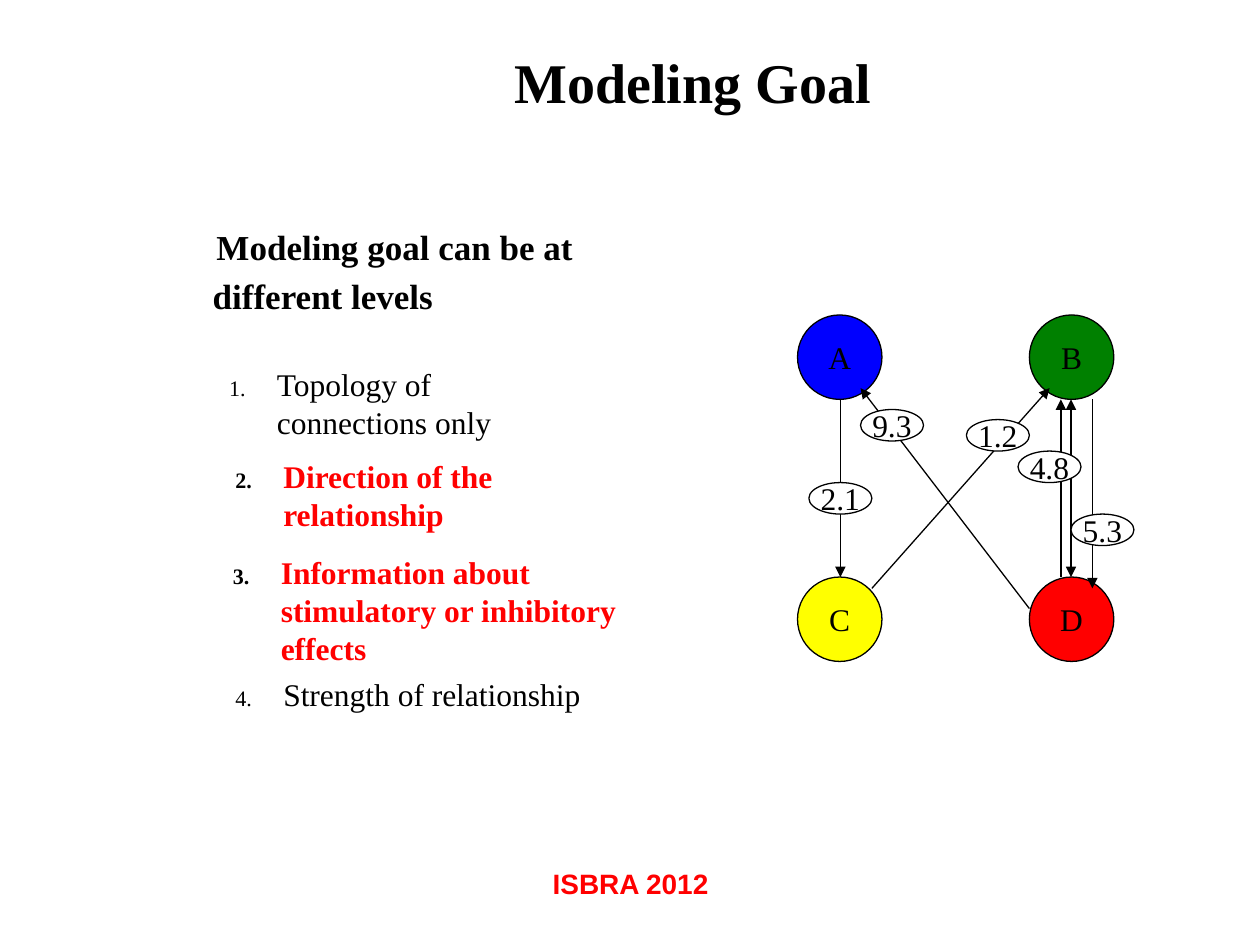
from typing import NamedTuple

from lxml.etree import SubElement
from pptx import Presentation
from pptx.dml.color import RGBColor
from pptx.enum.shapes import MSO_CONNECTOR, MSO_SHAPE
from pptx.enum.text import MSO_ANCHOR, PP_ALIGN
from pptx.oxml.ns import qn
from pptx.util import Inches, Pt

BLACK = RGBColor(0x00, 0x00, 0x00)
WHITE = RGBColor(0xFF, 0xFF, 0xFF)
RED = RGBColor(0xFF, 0x00, 0x00)
BLUE = RGBColor(0x00, 0x00, 0xFF)
GREEN = RGBColor(0x00, 0x80, 0x00)
YELLOW = RGBColor(0xFF, 0xFF, 0x00)

SERIF = "Times New Roman"
LINE_WIDTH = Pt(0.75)
NODE_SIZE = (0.67, 0.67)
WEIGHT_SIZE = (0.5, 0.25)
LEFT_COLUMN, RIGHT_COLUMN = 6.33, 8.17
TOP_ROW, BOTTOM_ROW = 2.5, 4.58
ITEM_INDENT = 0.38


class Node(NamedTuple):
    text: str
    left: float
    top: float
    fill: RGBColor


class Weight(NamedTuple):
    text: str
    left: float
    top: float


class Edge(NamedTuple):
    start: tuple[float, float]
    end: tuple[float, float]
    both_ways: bool = False


class Level(NamedTuple):
    text: str
    left: float
    top: float
    width: float
    height: float
    highlighted: bool = False


NODES = [
    Node("A", LEFT_COLUMN, TOP_ROW, BLUE),
    Node("D", RIGHT_COLUMN, BOTTOM_ROW, RED),
    Node("C", LEFT_COLUMN, BOTTOM_ROW, YELLOW),
    Node("B", RIGHT_COLUMN, TOP_ROW, GREEN),
]
EDGES = [
    Edge((8.5, 4.58), (8.5, 3.17), both_ways=True),
    Edge((6.67, 3.17), (6.67, 4.58)),
    Edge((6.92, 4.67), (8.33, 3.08)),
    Edge((8.17, 4.83), (6.83, 3.08)),
    Edge((8.42, 4.58), (8.42, 3.17)),
    Edge((8.67, 3.17), (8.67, 4.67)),
]
WEIGHTS = [
    Weight("2.1", 6.42, 3.83),
    Weight("9.3", 6.83, 3.25),
    Weight("1.2", 7.67, 3.33),
    Weight("4.8", 8.08, 3.58),
    Weight("5.3", 8.5, 4.08),
]
LEVELS = [
    Level("Topology of connections only", 1.72, 2.85, 2.83, 1.15),
    Level("Direction of the relationship", 1.77, 3.58, 3.08, 1.15, True),
    Level("Information about stimulatory or inhibitory effects",
          1.75, 4.34, 3.42, 1.45, True),
    Level("Strength of relationship", 1.77, 5.31, 3.33, 1.22),
]
# Each heading line with its left indent
HEADING = [("Modeling goal can be at", 0.31), ("different levels", 0.28)]


def set_font(paragraph, size: float, color: RGBColor = BLACK,
             bold: bool = False, name: str = SERIF) -> None:
    font = paragraph.font
    font.size, font.bold, font.name = Pt(size), bold, name
    font.color.rgb = color


def add_text_frame(slide, left: float, top: float, width: float, height: float):
    box = slide.shapes.add_textbox(
        Inches(left), Inches(top), Inches(width), Inches(height))
    box.text_frame.word_wrap = True
    return box.text_frame


def add_number(paragraph, number: int) -> None:
    """Number the paragraph in small black figures with a hanging indent."""
    properties = paragraph._p.get_or_add_pPr()
    properties.set("marL", str(Inches(ITEM_INDENT)))
    properties.set("indent", str(-Inches(ITEM_INDENT)))
    bullet_color = SubElement(properties, qn("a:buClr"))
    SubElement(bullet_color, qn("a:srgbClr"), val=str(BLACK))
    SubElement(properties, qn("a:buSzPct"), val="70000")
    SubElement(properties, qn("a:buAutoNum"),
               type="arabicPeriod", startAt=str(number))


def add_level(slide, level: Level, number: int) -> None:
    frame = add_text_frame(
        slide, level.left, level.top, level.width, level.height)
    paragraph = frame.paragraphs[0]
    paragraph.text = level.text
    add_number(paragraph, number)
    set_font(paragraph, 18, RED if level.highlighted else BLACK,
             level.highlighted)


def add_heading(slide) -> None:
    frame = add_text_frame(slide, 1.31, 1.74, 4.08, 1.3)
    frame.text = "\n".join(text for text, _ in HEADING)
    for paragraph, (_, indent) in zip(frame.paragraphs, HEADING):
        paragraph._p.get_or_add_pPr().set("marL", str(Inches(indent)))
        set_font(paragraph, 20, bold=True)
    frame.paragraphs[1].space_before = Pt(4)


def add_ellipse(slide, item: Node | Weight, size: tuple[float, float],
                fill: RGBColor) -> None:
    shape = slide.shapes.add_shape(
        MSO_SHAPE.OVAL, Inches(item.left), Inches(item.top),
        Inches(size[0]), Inches(size[1]))
    shape.shadow.inherit = False
    shape.fill.solid()
    shape.fill.fore_color.rgb = fill
    shape.line.color.rgb = BLACK
    shape.line.width = LINE_WIDTH
    frame = shape.text_frame
    frame.word_wrap = False
    frame.vertical_anchor = MSO_ANCHOR.MIDDLE
    paragraph = frame.paragraphs[0]
    paragraph.text = item.text
    paragraph.alignment = PP_ALIGN.CENTER
    set_font(paragraph, 18)


def add_edge(slide, edge: Edge) -> None:
    connector = slide.shapes.add_connector(
        MSO_CONNECTOR.STRAIGHT,
        *(Inches(value) for value in edge.start + edge.end))
    connector.line.color.rgb = BLACK
    connector.line.width = LINE_WIDTH
    line = connector.line._get_or_add_ln()
    if edge.both_ways:
        SubElement(line, qn("a:headEnd"), type="triangle")
    SubElement(line, qn("a:tailEnd"), type="triangle")
    SubElement(connector._element.spPr, qn("a:effectLst"))


def add_title(slide) -> None:
    title = slide.shapes.title
    title.left, title.top = Inches(1.5), Inches(0.33)
    title.width, title.height = Inches(8), Inches(1.25)
    title.text_frame.vertical_anchor = MSO_ANCHOR.TOP
    paragraph = title.text_frame.paragraphs[0]
    paragraph.text = "Modeling Goal"
    paragraph.alignment = PP_ALIGN.CENTER
    set_font(paragraph, 32, bold=True)


def add_footer(slide) -> None:
    paragraph = add_text_frame(slide, 3.42, 6.83, 3.17, 0.5).paragraphs[0]
    paragraph.text = "ISBRA 2012"
    paragraph.alignment = PP_ALIGN.CENTER
    set_font(paragraph, 16, RED, bold=True, name="Arial")


def main() -> None:
    presentation = Presentation()
    presentation.slide_width = Inches(10)
    presentation.slide_height = Inches(7.5)
    slide = presentation.slides.add_slide(presentation.slide_layouts[5])

    add_title(slide)
    for node in NODES:
        add_ellipse(slide, node, NODE_SIZE, node.fill)
    for number, level in enumerate(LEVELS, start=1):
        add_level(slide, level, number)
    for edge in EDGES:
        add_edge(slide, edge)
    for weight in WEIGHTS:
        add_ellipse(slide, weight, WEIGHT_SIZE, WHITE)
    add_heading(slide)
    add_footer(slide)
    presentation.save("out.pptx")


if __name__ == "__main__":
    main()
